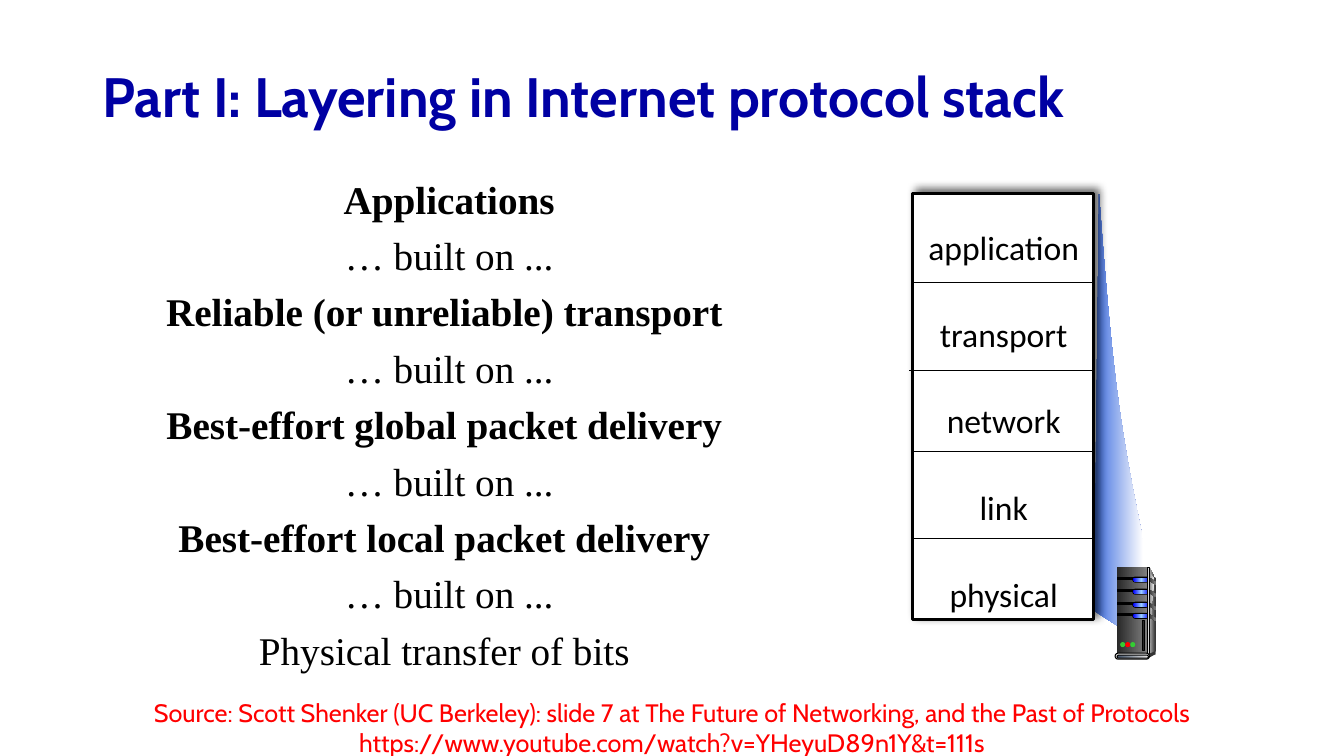
from copy import deepcopy

from lxml import etree
from pptx import Presentation
from pptx.dml.color import RGBColor
from pptx.enum.shapes import MSO_CONNECTOR, MSO_SHAPE
from pptx.enum.text import MSO_ANCHOR, PP_ALIGN
from pptx.oxml.ns import qn
from pptx.util import Inches, Pt

RECTANGLE = MSO_SHAPE.RECTANGLE
ROUNDED = MSO_SHAPE.ROUNDED_RECTANGLE
OVAL = MSO_SHAPE.OVAL
STRAIGHT = MSO_CONNECTOR.STRAIGHT
LEFT, CENTER = PP_ALIGN.LEFT, PP_ALIGN.CENTER
TOP, MIDDLE = MSO_ANCHOR.TOP, MSO_ANCHOR.MIDDLE

COLORS = {
    "navy": "0000A3", "black": "000000", "white": "FFFFFF", "red": "FF0000",
    "beam": "3C6CDF", "charcoal": "292929", "dark": "333333", "gray": "808080",
    "silver": "DDDDDD", "pale": "F8F8F8", "blue": "0000FF", "sky": "99CCFF",
    "green": "33CC33", "slate": "44546A", "mist": "E7E6E6",
}


class SlideBuilder:
    """Draws styled elements on one slide."""

    def __init__(self, slide):
        self.slide = slide
        self.shapes = slide.shapes

    def start_group(self):
        self.shapes = self.slide.shapes.add_group_shape().shapes

    def end_group(self):
        self.shapes = self.slide.shapes

    def color(self, name):
        return RGBColor.from_string(COLORS[name])

    def text(self, box, lines, font, size, color, align=CENTER, anchor=TOP,
             spacing=1.0, before=0, bold=()):
        shape = self.shapes.add_textbox(*map(Inches, box))
        frame = shape.text_frame
        frame.word_wrap = True
        frame.vertical_anchor = anchor
        for index, line in enumerate(lines):
            paragraph = frame.paragraphs[0] if index == 0 else frame.add_paragraph()
            paragraph.text = line
            paragraph.alignment = align
            paragraph.line_spacing = spacing
            paragraph.space_before = Pt(before if index else 0)
            paragraph.font.name = font
            paragraph.font.size = Pt(size)
            paragraph.font.bold = index in bold
            paragraph.font.color.rgb = self.color(color)

    def paint(self, shape, colors, line=None):
        shape.shadow.inherit = False
        if len(colors) == 1:
            shape.fill.solid()
            shape.fill.fore_color.rgb = self.color(colors[0])
        else:
            shape.fill.gradient()
            shape.fill.gradient_angle = 0
            stop_list = shape._element.spPr.find(".//" + qn("a:gsLst"))
            for _ in colors[2:]:
                stop_list.append(deepcopy(stop_list[0]))
            for index, stop in enumerate(shape.fill.gradient_stops):
                stop.color.rgb = self.color(colors[index])
                stop.position = index / (len(colors) - 1)
        if line:
            shape.line.color.rgb = self.color("black")
            shape.line.width = Pt(line)
        else:
            shape.line.fill.background()
        return shape

    def preset(self, kind, box, *colors, line=None):
        shape = self.shapes.add_shape(kind, *map(Inches, box))
        if kind == ROUNDED:
            shape.adjustments[0] = 0.5
        return self.paint(shape, colors, line)

    def outline(self, start, segments, *colors):
        points = [segment[i:i + 2] for segment in segments for i in range(0, len(segment), 2)]
        builder = self.shapes.build_freeform(*map(Inches, start))
        builder.add_line_segments([tuple(map(Inches, point)) for point in points], close=True)
        shape = builder.convert_to_shape()
        steps = iter(list(shape._element.spPr.iter(qn("a:lnTo"))))
        for segment in segments:
            step = next(steps)
            if len(segment) == 6:
                step.addprevious(curve := etree.Element(qn("a:cubicBezTo")))
                for part in (step, next(steps), next(steps)):
                    curve.append(part[0])
                    part.getparent().remove(part)
        return self.paint(shape, colors)

    def line(self, left, right, y):
        connector = self.shapes.add_connector(
            STRAIGHT, Inches(left), Inches(y), Inches(right), Inches(y))
        connector.line.color.rgb = self.color("black")
        connector.line.width = Pt(0.5)
        etree.SubElement(connector._element.spPr, qn("a:effectLst"))

    def drop_shadow(self, shape, blur, distance, angle, opacity):
        effects = shape._element.spPr.find(qn("a:effectLst"))
        shadow = etree.SubElement(
            effects, qn("a:outerShdw"), blurRad=str(Pt(blur)), dist=str(Pt(distance)),
            dir=str(angle * 60000), algn="ctr", rotWithShape="0")
        color = etree.SubElement(shadow, qn("a:srgbClr"), val=COLORS["black"])
        etree.SubElement(color, qn("a:alpha"), val=str(opacity * 1000))

    def server(self):
        self.start_group()
        self.outline((11.4, 5.63), [(11.46, 5.74), (11.46, 6.46), (11.38, 6.5)],
                     "silver", "dark")
        self.preset(RECTANGLE, (11.08, 5.63, 0.3, 0.87), "charcoal", "gray")
        self.outline((11.4, 5.68), [(11.4, 5.68, 11.41, 5.69, 11.45, 5.75),
                                    (11.4, 6.07, 11.41, 6.48, 11.4, 6.47)], "gray", "pale")
        for y in (5.73, 5.85, 5.98, 6.09):
            self.preset(RECTANGLE, (11.08, y, 0.17, 0.02), "black", line=0.75)
            self.preset(ROUNDED, (11.23, y - 0.01, 0.17, 0.06), "black")
            self.preset(ROUNDED, (11.24, y, 0.16, 0.04), "blue", "sky", "blue")
            self.outline((11.39, y), [(11.4, y, 11.43, y + 0.02, 11.46, y + 0.04),
                                      (11.46, y + 0.05, 11.46, y + 0.05, 11.46, y + 0.07),
                                      (11.46, y + 0.07, 11.43, y + 0.05, 11.39, y + 0.03),
                                      (11.39, y + 0.01, 11.39, y, 11.39, y)],
                         "charcoal", "gray")
        self.preset(RECTANGLE, (11.38, 5.63, 0.02, 0.87), "dark", "silver", "dark", line=0.75)
        self.preset(OVAL, (11.45, 6.46, 0.01, 0.04), "dark")
        self.outline((11.39, 6.49), [(11.39, 6.53), (11.46, 6.49), (11.46, 6.46)], "dark")
        self.preset(ROUNDED, (11.06, 6.48, 0.34, 0.06), "silver", line=0.75)
        self.preset(ROUNDED, (11.08, 6.5, 0.31, 0.03), "slate", "mist", line=0.75)
        for index, color in enumerate(("green", "red", "green")):
            self.preset(OVAL, (11.11 + 0.05 * index, 6.37, 0.05, 0.05), color)
        self.preset(RECTANGLE, (11.33, 6.16, 0.02, 0.29), "charcoal", line=0.75)
        self.end_group()

    def protocol_stack(self):
        self.start_group()
        stack = self.preset(RECTANGLE, (9.05, 1.92, 1.8, 4.23), "white", line=2.25)
        self.drop_shadow(stack, blur=6, distance=4, angle=315, opacity=60)
        self.text((8.99, 1.74, 1.93, 4.41),
                  ["application", "transport", "network", "link", "physical"],
                  "Calibri", 24, "black", spacing=2.15)
        for left, right, y in ((9.05, 10.85, 2.8), (9.02, 10.83, 3.67),
                               (9.04, 10.85, 4.48), (9.04, 10.83, 5.34)):
            self.line(left, right, y)
        self.end_group()


def main():
    presentation = Presentation()
    presentation.slide_width = Inches(13.33)
    presentation.slide_height = Inches(7.5)
    builder = SlideBuilder(presentation.slides.add_slide(presentation.slide_layouts[6]))

    builder.text((0.92, 0.5, 11.5, 0.98), ["Part I: Layering in Internet protocol stack"],
                 "Cabin", 39.6, "navy", align=LEFT, anchor=MIDDLE, spacing=0.9, bold=(0,))
    services = ["Applications", "Reliable (or unreliable) transport ",
                "Best-effort global packet delivery ", "Best-effort local packet delivery "]
    lines = [line for service in services for line in (service, "… built on ...")]
    builder.text((1.42, 1.74, 6.07, 5.08), lines + ["Physical transfer of bits "],
                 "Times New Roman", 28, "black", spacing=0.9, before=10, bold=(0, 2, 4, 6))
    builder.text((0, 6.87, 13.33, 1.01),
                 ["Source: Scott Shenker (UC Berkeley): slide 7 at The Future of Networking, "
                  "and the Past of Protocols",
                  "https://www.youtube.com/watch?v=YHeyuD89n1Y&t=111s"],
                 "Cabin", 18, "red")
    builder.outline((11.34, 6.37), [(10.85, 6.06), (10.9, 1.92),
                                    (11.03, 3.71, 11.11, 4.26, 11.34, 5.37),
                                    (11.34, 5.7, 11.34, 6.04, 11.34, 6.37)], "beam", "white")
    builder.server()
    builder.protocol_stack()
    presentation.save("out.pptx")


if __name__ == "__main__":
    main()
